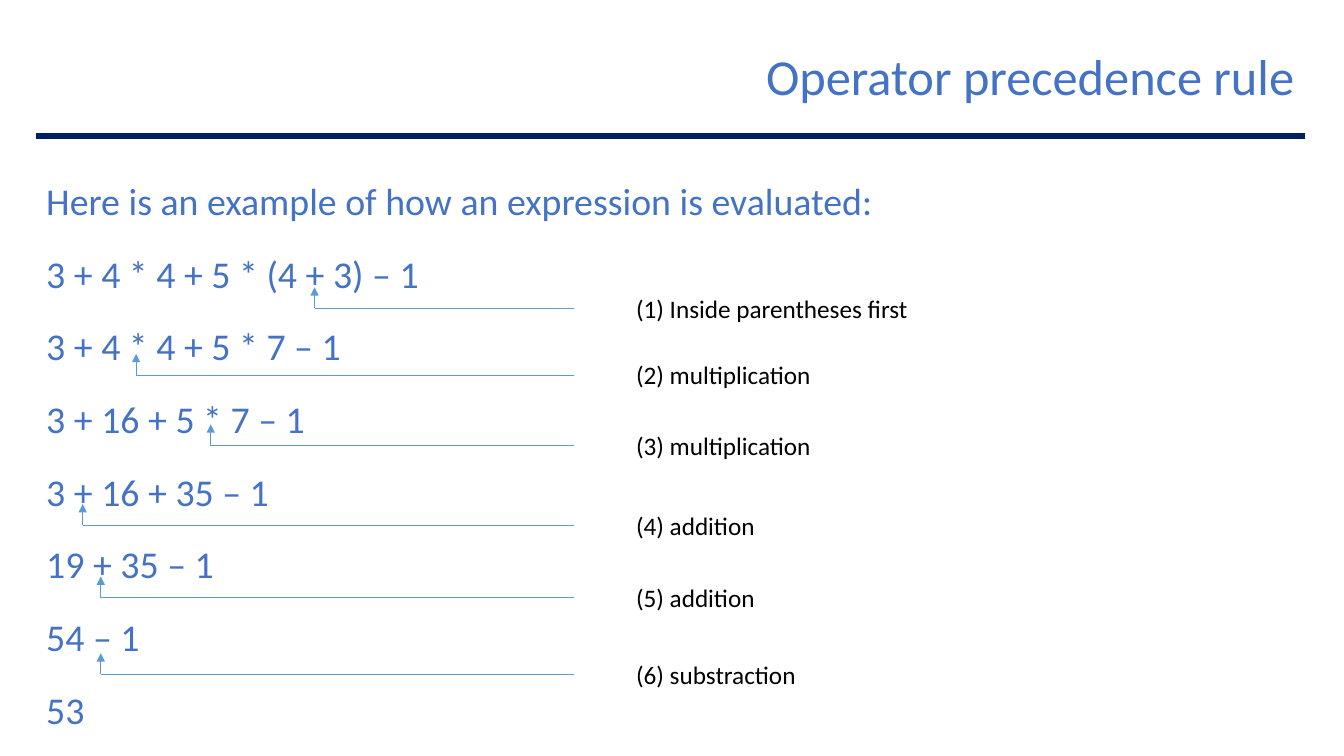
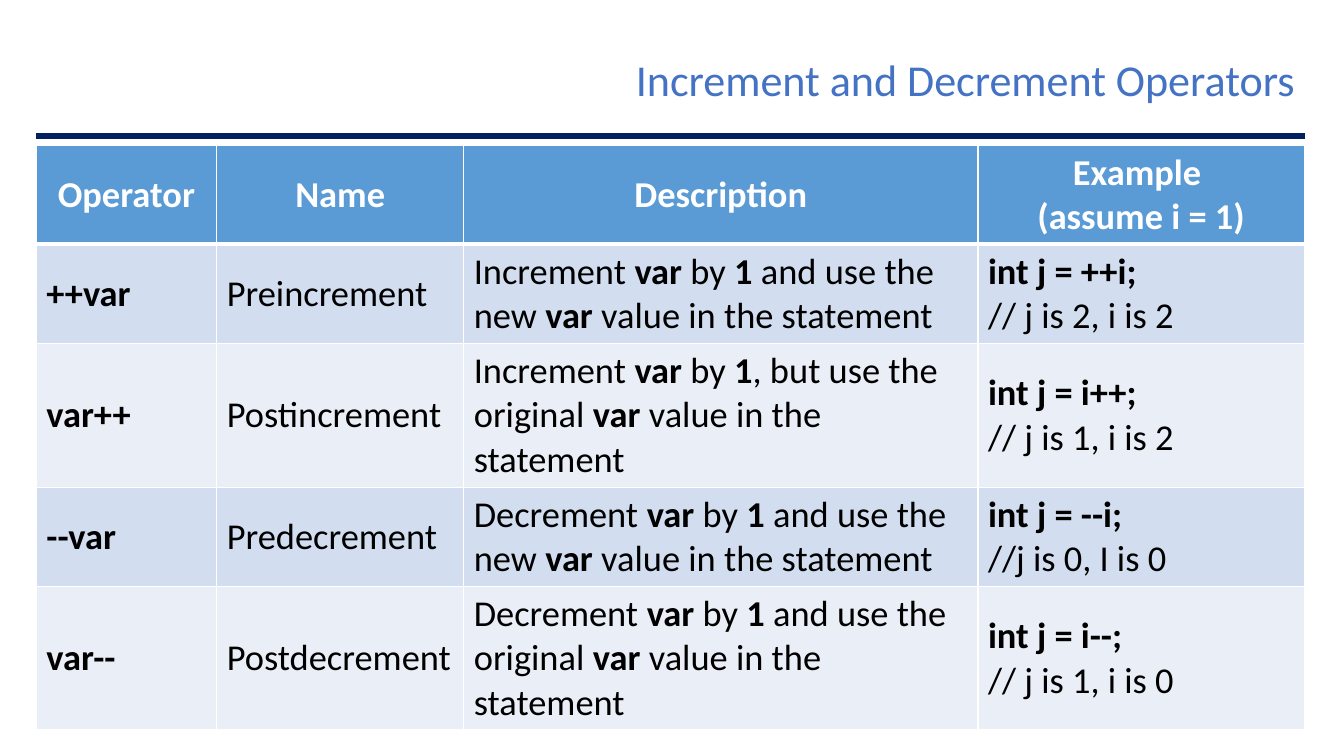
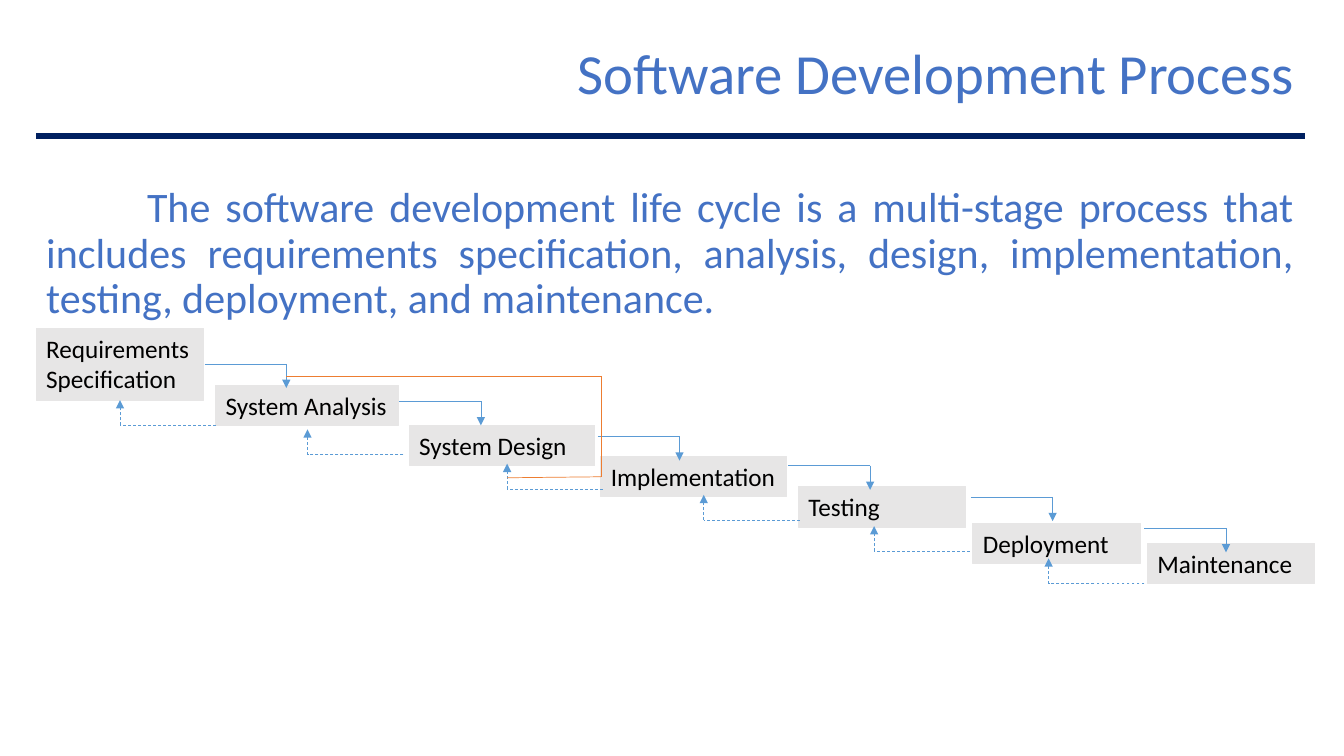
from lxml import etree
from pptx import Presentation
from pptx.dml.color import RGBColor
from pptx.enum.dml import MSO_LINE
from pptx.enum.shapes import MSO_CONNECTOR, MSO_SHAPE
from pptx.enum.text import MSO_ANCHOR, MSO_AUTO_SIZE, PP_ALIGN
from pptx.oxml.ns import qn
from pptx.util import Inches, Pt

BLUE = RGBColor(0x44, 0x72, 0xC4)
NAVY = RGBColor(0x00, 0x20, 0x60)
SKY = RGBColor(0x5B, 0x9B, 0xD5)
ORANGE = RGBColor(0xED, 0x7D, 0x31)
GREY = RGBColor(0xE7, 0xE6, 0xE6)
BLACK = RGBColor(0x00, 0x00, 0x00)
WHITE = RGBColor(0xFF, 0xFF, 0xFF)
BANDS = (RGBColor(0xD2, 0xDE, 0xEF), RGBColor(0xEA, 0xEF, 0xF7))

FONT = "Calibri"
LEFT, RIGHT = 0.36, 12.94
BODY_TOP = 1.8

STRAIGHT = MSO_CONNECTOR.STRAIGHT
RECTANGLE = MSO_SHAPE.RECTANGLE
DASH = MSO_LINE.DASH
ALIGN_LEFT, ALIGN_CENTER = PP_ALIGN.LEFT, PP_ALIGN.CENTER
ALIGN_RIGHT, JUSTIFY = PP_ALIGN.RIGHT, PP_ALIGN.JUSTIFY
TOP, MIDDLE, BOTTOM = MSO_ANCHOR.TOP, MSO_ANCHOR.MIDDLE, MSO_ANCHOR.BOTTOM
NO_AUTOFIT = MSO_AUTO_SIZE.NONE

EXPRESSIONS = [
    "3 + 4 * 4 + 5 * (4 + 3) – 1",
    "3 + 4 * 4 + 5 * 7 – 1",
    "3 + 16 + 5 * 7 – 1",
    "3 + 16 + 35 – 1",
    "19 + 35 – 1",
    "54 – 1",
    "53",
]
# label, x of the operator, y of the pointer line
STEPS = [
    ("(1) Inside parentheses first", 3.12, 3.06),
    ("(2) multiplication", 1.35, 3.72),
    ("(3) multiplication", 2.09, 4.42),
    ("(4) addition", 0.82, 5.21),
    ("(5) addition", 1, 5.93),
    ("(6) substraction", 1, 6.69),
]

# Asterisks enclose bold text
OPERATORS = [
    ["Operator", "Name", "Description", "Example \n(assume i = 1)"],
    ["*++var*", "Preincrement",
     "Increment *var *by *1 *and use the new *var *value in the statement",
     "*int j = ++i;*\n// j is 2, i is 2"],
    ["*var++*", "Postincrement",
     "Increment *var *by *1*, but use the original *var *value in the statement",
     "*int j = i++;*\n// j is 1, i is 2"],
    ["*--var*", "Predecrement",
     "Decrement *var *by *1* and use the new *var *value in the statement",
     "*int j = --i;*\n//j is 0, I is 0"],
    ["*var--*", "Postdecrement",
     "Decrement *var *by *1 *and use the original *var *value in the statement",
     "*int j = i--;*\n// j is 1, i is 0"],
]

LIFE_CYCLE = (
    "The software development life cycle is a multi-stage process that includes "
    "requirements specification, analysis, design, implementation, testing, "
    "deployment, and maintenance."
)
# name, left, top, width, height
STAGES = [
    ("Requirements Specification", 0.36, 3.26, 1.66, 0.71),
    ("System Analysis", 2.14, 3.82, 1.81, 0.4),
    ("System Design", 4.06, 4.22, 1.84, 0.4),
    ("Implementation", 5.96, 4.53, 1.84, 0.4),
    ("Testing", 7.92, 4.83, 1.66, 0.4),
    ("Deployment", 9.65, 5.19, 1.66, 0.4),
    ("Maintenance", 11.38, 5.39, 1.66, 0.4),
]
FORWARD_STARTS = [(2.03, 3.61), (3.96, 3.98), (5.93, 4.33),
                  (7.82, 4.62), (9.63, 4.93), (11.35, 5.24)]
BACK_STARTS = [(2.14, 4.22), (4, 4.51), (5.98, 4.85),
               (7.93, 5.16), (9.62, 5.47), (11.35, 5.79)]
REWORK_ROUTE = [(2.84, 3.73), (5.96, 3.73), (5.96, 4.73), (5.03, 4.74)]


class Deck:
    """Holds the shared style and the slide being built."""

    def __init__(self):
        self.presentation = Presentation()
        self.presentation.slide_width = Inches(13.33)
        self.presentation.slide_height = Inches(7.5)
        self.slide = None

    def new_slide(self, title, size, left):
        layout = self.presentation.slide_layouts[5]
        self.slide = self.presentation.slides.add_slide(layout)
        self.line((LEFT, 1.35), (RIGHT, 1.35), NAVY, 4.5)
        placeholder = self.slide.shapes.title
        placeholder.left, placeholder.top = Inches(left), Inches(0.33)
        placeholder.width, placeholder.height = Inches(RIGHT - left), Inches(0.75)
        self.fill_text(placeholder, title, size, BLUE, ALIGN_RIGHT, 0.7, BOTTOM)

    def fill_text(self, shape, text, size, color, align=ALIGN_LEFT, spacing=1.0,
                  anchor=TOP):
        frame = shape.text_frame
        frame.text = text
        frame.word_wrap = True
        frame.auto_size = NO_AUTOFIT
        frame.vertical_anchor = anchor
        for paragraph in frame.paragraphs:
            paragraph.alignment = align
            paragraph.line_spacing = spacing
            for run in paragraph.runs:
                self.format_run(run, size, color)
        return frame

    def format_run(self, run, size, color, bold=False):
        run.font.name = FONT
        run.font.size = Pt(size)
        run.font.color.rgb = color
        run.font.bold = bold

    def text(self, text, left, top, width, height, size, color, *style):
        box = self.slide.shapes.add_textbox(
            Inches(left), Inches(top), Inches(width), Inches(height))
        return self.fill_text(box, text, size, color, *style)

    def box(self, text, left, top, width, height):
        shape = self.slide.shapes.add_shape(
            RECTANGLE, Inches(left), Inches(top), Inches(width), Inches(height))
        shape.shadow.inherit = False
        shape.fill.solid()
        shape.fill.fore_color.rgb = GREY
        shape.line.color.rgb = GREY
        shape.line.width = Pt(0.75)
        self.fill_text(shape, text, 18, BLACK)

    def line(self, start, end, color=SKY, width=0.5, dash=None, arrow=False):
        points = [Inches(value) for value in (*start, *end)]
        connector = self.slide.shapes.add_connector(STRAIGHT, *points)
        connector.line.color.rgb = color
        connector.line.width = Pt(width)
        if dash:
            connector.line.dash_style = dash
        if arrow:
            outline = connector.line._get_or_add_ln()
            etree.SubElement(outline, qn("a:tailEnd"), type="triangle")
        etree.SubElement(connector._element.spPr, qn("a:effectLst"))

    def elbow(self, start, tip, dash=None):
        """Runs level from start, then turns upright to an arrowhead at tip."""
        corner = (tip[0], start[1])
        self.line(start, corner, dash=dash)
        self.line(corner, tip, dash=dash, arrow=True)

    def table(self, rows, left, top, column_widths, row_height):
        table = self.slide.shapes.add_table(
            len(rows), len(column_widths), Inches(left), Inches(top),
            Inches(sum(column_widths)), Inches(row_height * len(rows))).table
        for column, width in zip(table.columns, column_widths):
            column.width = Inches(width)
        for row_index, row in enumerate(rows):
            for column_index, text in enumerate(row):
                self.fill_cell(table.cell(row_index, column_index), text, row_index)

    def fill_cell(self, cell, text, row_index):
        header = row_index == 0
        cell.fill.solid()
        cell.fill.fore_color.rgb = SKY if header else BANDS[(row_index - 1) % 2]
        cell.vertical_anchor = MIDDLE
        if header:
            self.underline_cell(cell)
        cell.text_frame.text = text
        for paragraph in cell.text_frame.paragraphs:
            pieces = paragraph.text.split("*")
            paragraph.clear()
            paragraph.alignment = ALIGN_CENTER if header else ALIGN_LEFT
            for index, piece in enumerate(pieces):
                if piece:
                    run = paragraph.add_run()
                    run.text = piece
                    self.format_run(run, 26, WHITE if header else BLACK,
                                    header or index % 2 == 1)

    def underline_cell(self, cell):
        border = etree.Element(qn("a:lnB"), w=str(Pt(3)))
        fill = etree.SubElement(border, qn("a:solidFill"))
        etree.SubElement(fill, qn("a:srgbClr"), val=str(WHITE))
        cell._tc.get_or_add_tcPr().insert(0, border)


def add_precedence_slide(deck):
    deck.new_slide("Operator precedence rule", 36, 6.97)
    lines = ["Here is an example of how an expression is evaluated:", *EXPRESSIONS]
    frame = deck.text("\n".join(lines), LEFT, BODY_TOP, RIGHT - LEFT, 5.61,
                      27, BLUE, JUSTIFY, 0.8)
    for paragraph in frame.paragraphs[1:]:
        paragraph.space_before = Pt(26)
    for label, operator_x, y in STEPS:
        deck.elbow((5.69, y), (operator_x, y - 0.21))
        deck.text(label, 6.21, y - 0.2, 3.09, 0.4, 18, BLACK)


def add_operators_slide(deck):
    deck.new_slide("Increment and Decrement Operators", 31.5, 5.37)
    deck.table(OPERATORS, LEFT, 1.44, [1.79, 2.45, 5.1, 3.24], 0.64)


def add_process_slide(deck):
    deck.new_slide("Software Development Process", 40.5, 5.11)
    frame = deck.text(LIFE_CYCLE, LEFT, BODY_TOP, RIGHT - LEFT, 1.38,
                      30, BLUE, JUSTIFY, 0.9)
    frame.paragraphs[0]._p.get_or_add_pPr().set("indent", str(Inches(1)))
    for stage in STAGES:
        deck.box(*stage)
    for x, y in FORWARD_STARTS:
        deck.elbow((x, y), (x + 0.81, y + 0.24))
    for x, y in BACK_STARTS:
        deck.elbow((x, y), (x - 0.95, y - 0.25), DASH)
    for start, end in zip(REWORK_ROUTE, REWORK_ROUTE[1:]):
        deck.line(start, end, ORANGE)


def main():
    deck = Deck()
    add_precedence_slide(deck)
    add_operators_slide(deck)
    add_process_slide(deck)
    deck.presentation.save("out.pptx")


if __name__ == "__main__":
    main()
